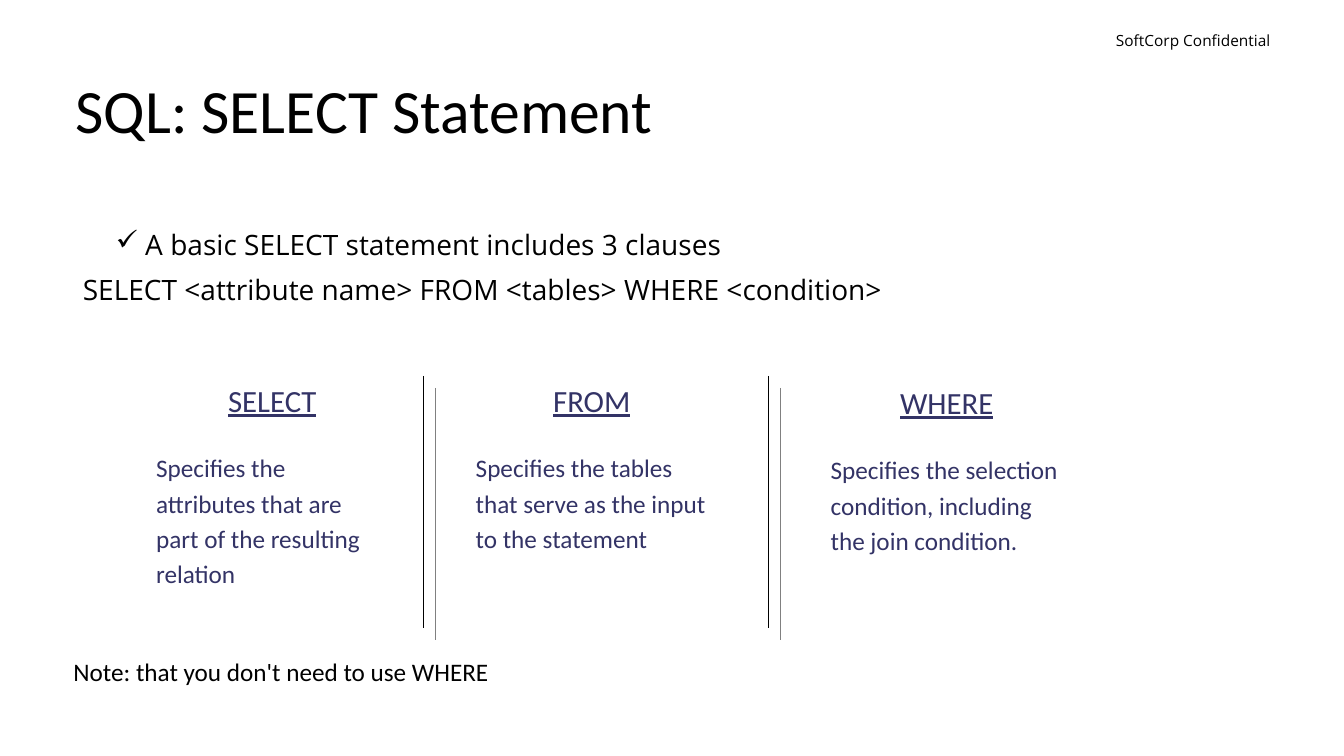
from lxml.etree import SubElement
from pptx import Presentation
from pptx.dml.color import RGBColor
from pptx.enum.shapes import MSO_CONNECTOR
from pptx.enum.text import MSO_ANCHOR, PP_ALIGN
from pptx.oxml.ns import qn
from pptx.util import Inches, Pt

COLORS = {"ink": "000000", "clause": "333366", "shadow": "808080"}
CONFIDENTIAL = "SoftCorp Confidential"
TITLE = "SQL: SELECT Statement"
INTRO = " A basic SELECT statement includes 3 clauses"
SYNTAX = " SELECT <attribute name> FROM <tables> WHERE <condition>"
CLAUSES = [
    ("SELECT", "Specifies the attributes that are part of the resulting relation", 1.45, 3.74),
    ("FROM", "Specifies the tables that serve as the input to the statement", 4.62, 3.74),
    ("WHERE", "Specifies the selection condition, including the join condition.", 8.14, 3.76),
]
NOTE = "Note: that you don't need to use WHERE"
DIVIDERS = [4.2, 7.62]
DIVIDER_TOP, DIVIDER_BOTTOM = 3.73, 6.23


def add_run(paragraph, text, size, font="Calibri", color="ink", underline=None):
    run = paragraph.add_run()
    run.text = text
    run.font.size = Pt(size)
    run.font.name = font
    run.font.color.rgb = RGBColor.from_string(COLORS[color])
    run.font.underline = underline


def add_frame(slide, left, top, width, height, wrap=True):
    box = slide.shapes.add_textbox(Inches(left), Inches(top), Inches(width), Inches(height))
    box.text_frame.word_wrap = wrap
    return box.text_frame


def add_divider(slide, x):
    divider = slide.shapes.add_connector(
        MSO_CONNECTOR.STRAIGHT,
        Inches(x), Inches(DIVIDER_TOP), Inches(x), Inches(DIVIDER_BOTTOM))
    divider.line.color.rgb = RGBColor.from_string(COLORS["ink"])
    divider.line.width = Pt(0.75)
    effects = SubElement(divider.element.spPr, qn("a:effectLst"))
    shadow = SubElement(effects, qn("a:outerShdw"), blurRad="0", dist=str(Pt(12)),
                        dir="2700000", algn="ctr", rotWithShape="0")
    SubElement(shadow, qn("a:srgbClr"), val=COLORS["shadow"])


def add_clause(slide, name, meaning, left, top):
    frame = add_frame(slide, left, top, 2.5, 2.2)
    heading = frame.paragraphs[0]
    heading.alignment = PP_ALIGN.CENTER
    add_run(heading, name, 22, color="clause", underline=True)
    description = frame.add_paragraph()
    description.space_before = Pt(20.4)
    description.line_spacing = 1.17
    add_run(description, meaning, 18, color="clause")


def main():
    presentation = Presentation()
    presentation.slide_width, presentation.slide_height = Inches(13.33), Inches(7.5)
    slide = presentation.slides.add_slide(presentation.slide_layouts[5])

    title = slide.shapes.title
    title.left, title.top = Inches(0.75), Inches(0.75)
    title.width, title.height = Inches(11.83), Inches(0.75)
    title.text_frame.margin_left = 0
    title.text_frame.vertical_anchor = MSO_ANCHOR.MIDDLE
    heading = title.text_frame.paragraphs[0]
    heading.alignment = PP_ALIGN.LEFT
    heading.line_spacing = 0.9
    add_run(heading, TITLE, 44)

    confidential = add_frame(slide, 10.38, 0.26, 2.32, 0.29).paragraphs[0]
    confidential.alignment = PP_ALIGN.RIGHT
    add_run(confidential, CONFIDENTIAL, 11, "Open Sans")

    body = add_frame(slide, 0.75, 2.25, 11.5, 1.2)
    body.margin_left = 0
    intro, syntax = body.paragraphs[0], body.add_paragraph()
    for paragraph, text in ((intro, INTRO), (syntax, SYNTAX)):
        paragraph.line_spacing = 0.9
        paragraph.space_before = Pt(10)
        add_run(paragraph, text, 20, "Open Sans")
    bullet = intro._p.get_or_add_pPr()
    bullet.set("marL", "0")
    bullet.set("indent", str(Inches(0.4)))
    SubElement(bullet, qn("a:buChar"), char="✓")

    for x in DIVIDERS:
        add_divider(slide, x)
    for clause in CLAUSES:
        add_clause(slide, *clause)

    note = add_frame(slide, 0.63, 6.46, 4.37, 0.4, wrap=False).paragraphs[0]
    add_run(note, NOTE, 18)
    presentation.save("out.pptx")


if __name__ == "__main__":
    main()
